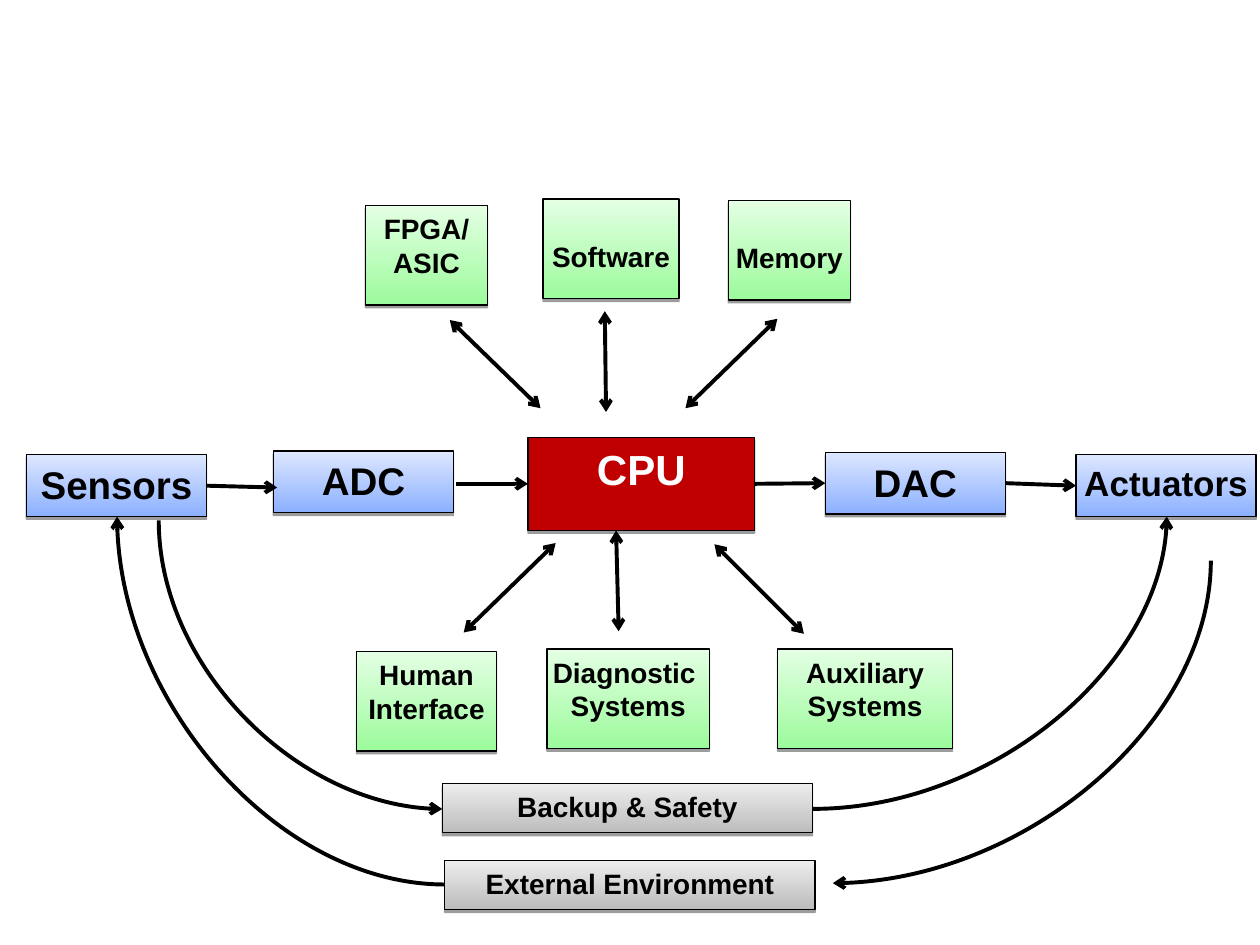
from dataclasses import dataclass

from lxml.etree import SubElement
from pptx import Presentation
from pptx.dml.color import RGBColor as RGB
from pptx.enum.shapes import MSO_CONNECTOR as Link, MSO_SHAPE as Shape
from pptx.enum.text import MSO_ANCHOR as Anchor, PP_ALIGN as Align
from pptx.oxml.ns import qn
from pptx.util import Inches, Pt


@dataclass(frozen=True)
class Theme:
    font: str = "Arial"
    black: str = "000000"
    white: str = "FFFFFF"
    red: tuple = ("C00000",)
    blue: tuple = ("8CB0FF", "DDE7FF")  # bottom, top
    green: tuple = ("9CFB9C", "E4FFE4")
    grey: tuple = ("BCBCBC", "EDEDED")
    cpu_size: int = 24
    signal_size: int = 22
    actuator_size: int = 20
    part_size: int = 16
    outline: float = 0.75
    arrow: float = 2.25


LEFT, RIGHT = 1, 3  # connection sites of a rectangle


class Diagram:
    def __init__(self, slide, theme):
        self.slide = slide
        self.theme = theme

    def box(self, text, area, fill, size, ink=None, top=0.05):
        """Shadowed rectangle with centred bold lines of text."""
        block = self.slide.shapes.add_shape(
            Shape.RECTANGLE, *(Inches(length) for length in area))
        if len(fill) == 1:
            block.fill.solid()
            block.fill.fore_color.rgb = RGB.from_string(fill[0])
        else:
            block.fill.gradient()
            block.fill.gradient_angle = 90
            for stop, colour in zip(block.fill.gradient_stops, fill):
                stop.color.rgb = RGB.from_string(colour)
        block.line.color.rgb = RGB.from_string(self.theme.black)
        block.line.width = Pt(self.theme.outline)
        self.drop_shadow(block)

        frame = block.text_frame
        frame_format = {"word_wrap": False, "vertical_anchor": Anchor.TOP,
                        "margin_top": Inches(top)}
        for name, value in frame_format.items():
            setattr(frame, name, value)
        frame.text = text
        font_format = {"name": self.theme.font, "size": Pt(size), "bold": True}
        for paragraph in frame.paragraphs:
            paragraph.alignment = Align.CENTER
            for name, value in font_format.items():
                setattr(paragraph.font, name, value)
            paragraph.font.color.rgb = RGB.from_string(ink or self.theme.black)
        return block

    def drop_shadow(self, block):
        block.shadow.inherit = False
        effects = block._element.spPr.find(qn("a:effectLst"))
        shadow = SubElement(effects, qn("a:outerShdw"), blurRad="0",
                            dist=str(Pt(1.6)), dir="5400000", rotWithShape="0")
        colour = SubElement(shadow, qn("a:srgbClr"), val=self.theme.black)
        SubElement(colour, qn("a:alpha"), val="38000")

    def connector(self, kind, start, end, ends):
        link = self.slide.shapes.add_connector(
            kind, *(Inches(length) for length in (*start, *end)))
        link.line.color.rgb = RGB.from_string(self.theme.black)
        link.line.width = Pt(self.theme.arrow)
        line = link.line._get_or_add_ln()
        for name in ends:
            SubElement(line, qn(f"a:{name}"), type="arrow")
        SubElement(link._element.spPr, qn("a:effectLst"))
        return link

    def arrow(self, start, end, source=None, target=None):
        """Straight arrow, joined to the boxes it leaves or meets."""
        link = self.connector(Link.STRAIGHT, start, end, ["tailEnd"])
        if source is not None:
            link.begin_connect(source, RIGHT)
        if target is not None:
            link.end_connect(target, LEFT)

    def double_arrow(self, start, end):
        self.connector(Link.STRAIGHT, start, end, ["headEnd", "tailEnd"])

    def curve(self, start, end, downward=False):
        """Quarter curve leaving sideways, or downward by a quarter turn."""
        if downward:
            (x1, y1), (x2, y2) = start, end
            mid_x, mid_y = (x1 + x2) / 2, (y1 + y2) / 2
            half_x, half_y = (x2 - x1) / 2, (y2 - y1) / 2
            start = mid_x - half_y, mid_y + half_x
            end = mid_x + half_y, mid_y - half_x
        link = self.connector(Link.CURVE, start, end, ["tailEnd"])
        properties = link._element.spPr
        properties.find(qn("a:prstGeom")).set("prst", "curvedConnector2")
        if downward:
            properties.find(qn("a:xfrm")).set("rot", "5400000")


def main():
    deck = Presentation()
    deck.slide_width, deck.slide_height = Inches(10), Inches(7.5)
    theme = Theme()
    diagram = Diagram(deck.slides.add_slide(deck.slide_layouts[6]), theme)

    # Signal chain
    cpu = diagram.box("CPU", (4.19, 3.47, 1.8, 0.74), theme.red,
                      theme.cpu_size, theme.white)
    sensors, adc, dac, actuators = (
        diagram.box(text, (left, top, 1.43, 0.49), theme.blue, size)
        for text, left, top, size in (
            ("Sensors", 0.21, 3.61, theme.signal_size),
            ("ADC", 2.17, 3.58, theme.signal_size),
            ("DAC", 6.55, 3.59, theme.signal_size),
            ("Actuators", 8.54, 3.61, theme.actuator_size)))
    diagram.arrow((1.64, 3.87), (2.2, 3.87), source=sensors)
    diagram.arrow((3.62, 3.84), (4.18, 3.84), target=cpu)
    diagram.arrow((5.99, 3.85), (6.55, 3.85), cpu, dac)
    diagram.arrow((7.99, 3.86), (8.54, 3.86), dac, actuators)

    # Parts above and below the CPU; one-line labels sit a line lower
    for text, left, top, width, inset in (
            ("FPGA/\nASIC", 2.9, 1.63, 0.97, 0.05),
            ("Software", 4.31, 1.58, 1.08, 0.32),
            ("Memory", 5.78, 1.59, 0.97, 0.32),
            ("Human\nInterface", 2.83, 5.17, 1.11, 0.05),
            ("Diagnostic \nSystems", 4.34, 5.15, 1.29, 0.05),
            ("Auxiliary\nSystems", 6.17, 5.15, 1.39, 0.05)):
        diagram.box(text, (left, top, width, 0.79), theme.green,
                    theme.part_size, top=inset)
    for start, end in (
            ((3.57, 2.54), (4.29, 3.24)),
            ((4.8, 2.47), (4.81, 3.27)),
            ((5.44, 3.24), (6.17, 2.53)),
            ((4.89, 4.21), (4.91, 5.01)),
            ((3.68, 5.02), (4.41, 4.31)),
            ((5.67, 4.32), (6.38, 5.03))):
        diagram.double_arrow(start, end)

    # Outer loops
    for text, left, top in (("External Environment", 3.53, 6.83),
                            ("Backup & Safety", 3.51, 6.22)):
        diagram.box(text, (left, top, 2.94, 0.39), theme.grey, theme.part_size)
    diagram.curve((3.53, 7.02), (0.93, 4.1))
    diagram.curve((9.61, 4.45), (6.61, 7.01), downward=True)
    diagram.curve((1.26, 4.13), (3.51, 6.42), downward=True)
    diagram.curve((6.45, 6.42), (9.26, 4.1))

    deck.save("out.pptx")


if __name__ == "__main__":
    main()
